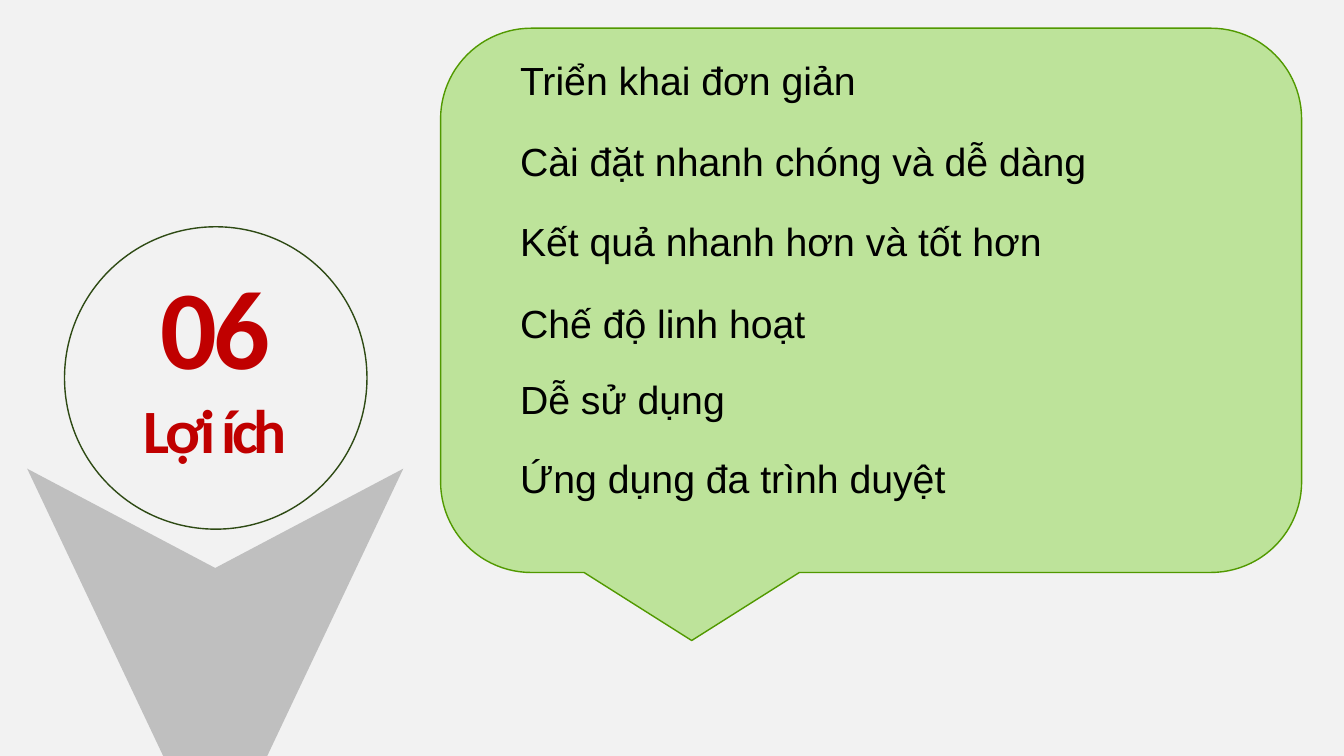
from dataclasses import dataclass

from pptx import Presentation, util as u
from pptx.dml.color import RGBColor
from pptx.enum import shapes, text

# Content: each benefit with its row top and text width in inches
NUMBER, TITLE = "06", "Lợi ích"
BENEFITS = [
    ("Triển khai đơn giản", 0.51, 3.57),
    ("Cài đặt nhanh chóng và dễ dàng", 1.31, 5.89),
    ("Kết quả nhanh hơn và tốt hơn", 2.11, 5.44),
    ("Chế độ linh hoạt", 2.92, 3.07),
    ("Dễ sử dụng", 3.67, 2.26),
    ("Ứng dụng đa trình duyệt", 4.46, 4.47),
]

# Layout in inches: left, top, width, height
SLIDE = (13.33, 7.5)
CIRCLE = (0.64, 2.25, 3, 3)
HEADING = (0.65, 2.49, 2.97, 2.19)
ARROW = (0.27, 4.65, 3.73, 3.94)
ARROW_NOTCH = 0.25  # share of the arrow's height
CALLOUT = (4.37, 0.28, 8.54, 5.4)
BENEFIT_LEFT, BENEFIT_HEIGHT = 5.06, 0.57


@dataclass(frozen=True)
class Theme:
    backdrop: str = "F2F2F2"
    ring: str = "2E4A14"
    arrow: str = "BFBFBF"
    panel: str = "BDE39A"
    panel_edge: str = "519900"
    heading: str = "C00000"
    body: str = "000000"
    heading_font: str = "Calibri"
    body_font: str = "Arial"
    number_size: int = 80
    title_size: int = 44
    body_size: int = 28
    heading_tracking: int = -300  # hundredths of a point
    line_width: int = 1


THEME = Theme()


def inches(lengths):
    return [u.Inches(length) for length in lengths]


def paint(shape, fill=None, line=None):
    shape.shadow.inherit = False
    if fill:
        shape.fill.solid()
        shape.fill.fore_color.rgb = RGBColor.from_string(fill)
    else:
        shape.fill.background()
    if line:
        shape.line.color.rgb = RGBColor.from_string(line)
        shape.line.width = u.Pt(THEME.line_width)
    else:
        shape.line.fill.background()


def add_box(page, bounds, wrap):
    frame = page.shapes.add_textbox(*inches(bounds)).text_frame
    frame.word_wrap = wrap
    frame.auto_size = text.MSO_AUTO_SIZE.SHAPE_TO_FIT_TEXT
    return frame


def add_span(para, words, font, size, color):
    span = para.add_run()
    span.text = words
    span.font.name = font
    span.font.size = u.Pt(size)
    span.font.color.rgb = RGBColor.from_string(color)
    return span


def add_heading(page):
    frame = add_box(page, HEADING, wrap=True)
    frame.vertical_anchor = text.MSO_ANCHOR.MIDDLE
    lines = [(NUMBER, THEME.number_size), (TITLE, THEME.title_size)]
    for index, (words, size) in enumerate(lines):
        para = frame.add_paragraph() if index else frame.paragraphs[0]
        para.alignment = text.PP_ALIGN.CENTER
        span = add_span(para, words, THEME.heading_font, size, THEME.heading)
        span.font.bold = True
        span.font._element.set("spc", str(THEME.heading_tracking))


def add_arrow(page):
    left, top, width, height = ARROW
    middle = left + width / 2
    corners = [
        (middle, top + height * ARROW_NOTCH),
        (left + width, top),
        (middle, top + height),
    ]
    outline = page.shapes.build_freeform(*inches((left, top)), scale=1.0)
    outline.add_line_segments([inches(corner) for corner in corners], close=True)
    paint(outline.convert_to_shape(), fill=THEME.arrow)


def main():
    deck = Presentation()
    deck.slide_width, deck.slide_height = inches(SLIDE)
    page = deck.slides.add_slide(deck.slide_layouts[6])
    page.background.fill.solid()
    page.background.fill.fore_color.rgb = RGBColor.from_string(THEME.backdrop)

    # Numbered circle above the arrow
    circle = page.shapes.add_shape(shapes.MSO_SHAPE.OVAL, *inches(CIRCLE))
    paint(circle, line=THEME.ring)
    add_heading(page)
    add_arrow(page)

    # Callout with the benefits
    callout = page.shapes.add_shape(
        shapes.MSO_SHAPE.ROUNDED_RECTANGULAR_CALLOUT, *inches(CALLOUT))
    paint(callout, fill=THEME.panel, line=THEME.panel_edge)
    for words, top, width in BENEFITS:
        frame = add_box(page, (BENEFIT_LEFT, top, width, BENEFIT_HEIGHT), wrap=False)
        add_span(frame.paragraphs[0], words, THEME.body_font,
                 THEME.body_size, THEME.body)

    deck.save("out.pptx")


if __name__ == "__main__":
    main()
